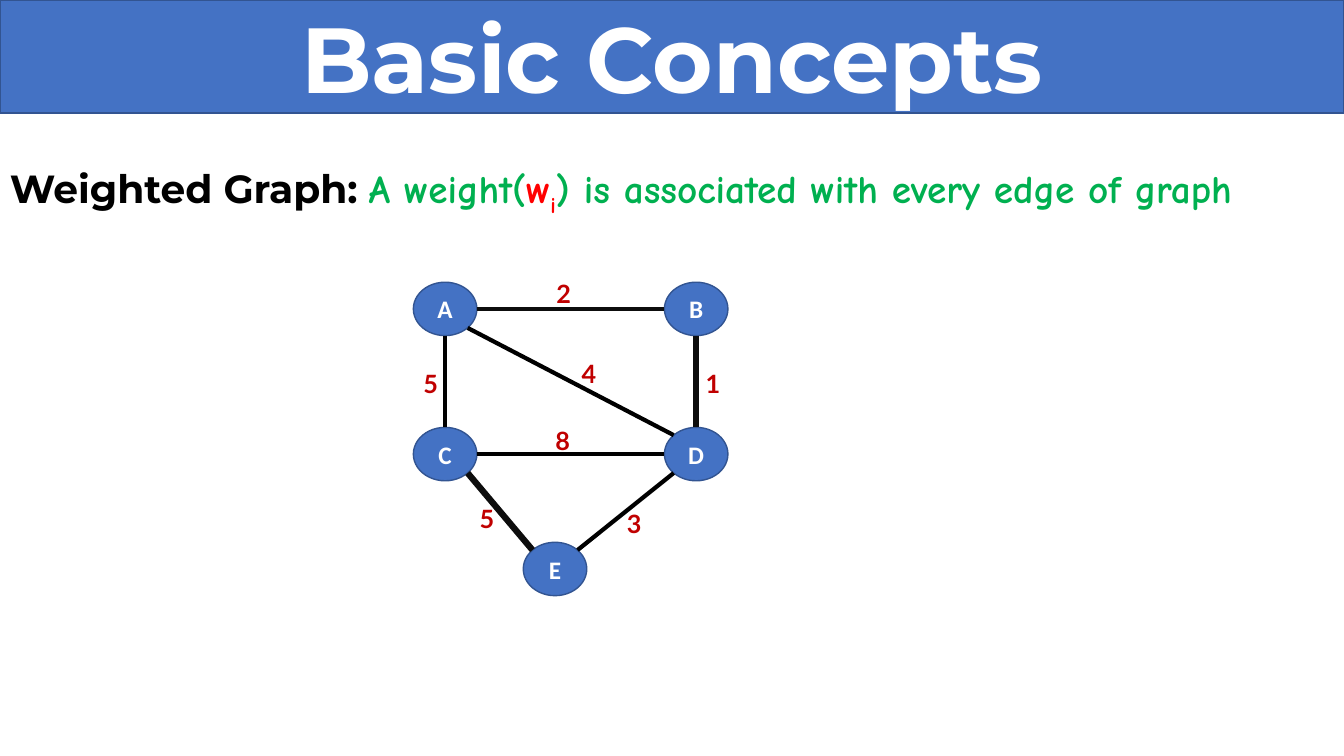
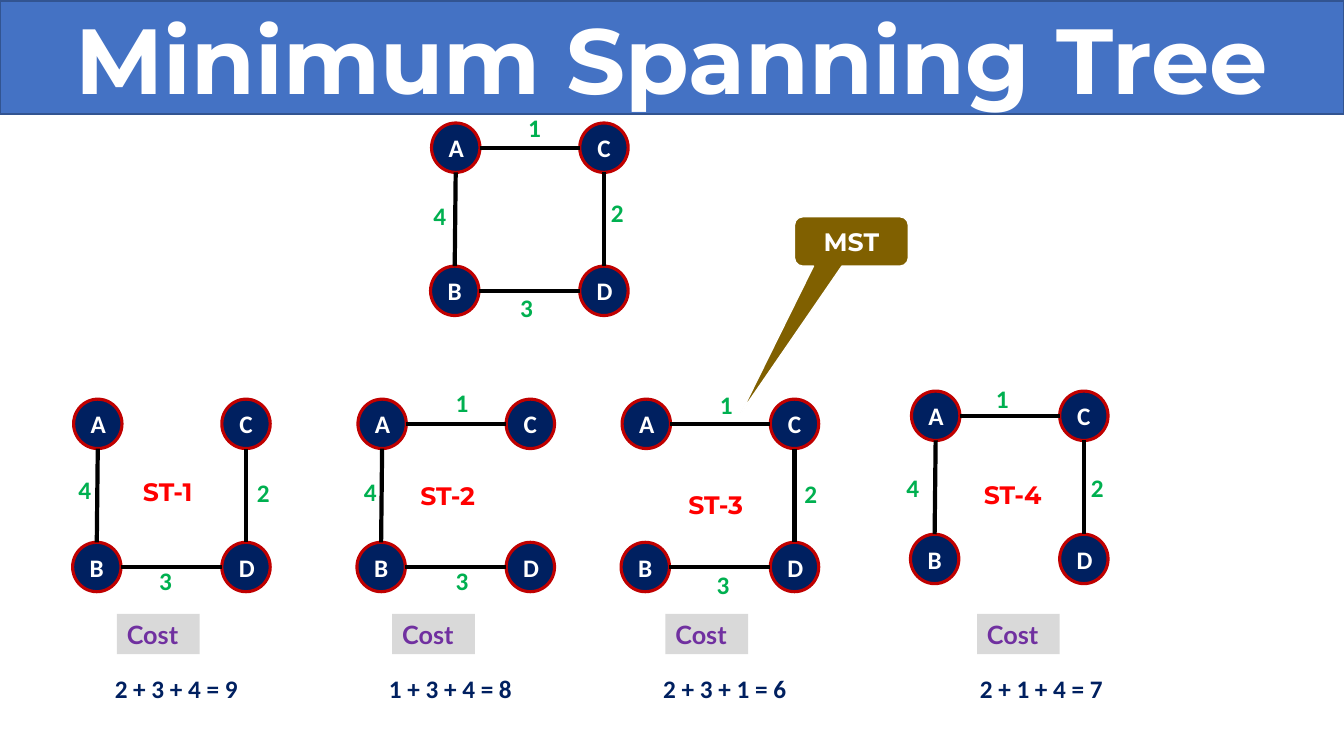
from lxml import etree
from pptx import Presentation
from pptx.dml.color import RGBColor
from pptx.enum.shapes import MSO_CONNECTOR, MSO_SHAPE
from pptx.enum.text import MSO_ANCHOR, MSO_AUTO_SIZE, PP_ALIGN
from pptx.oxml.ns import qn
from pptx.util import Inches, Pt

LINE = MSO_CONNECTOR.STRAIGHT
OVAL = MSO_SHAPE.OVAL
BUBBLE = MSO_SHAPE.ROUNDED_RECTANGULAR_CALLOUT
MIDDLE = MSO_ANCHOR.MIDDLE
CENTER = PP_ALIGN.CENTER
GROW = MSO_AUTO_SIZE.SHAPE_TO_FIT_TEXT
FIXED = MSO_AUTO_SIZE.NONE

HEX = {
    "blue": "4472C4", "rim": "325491", "navy": "002060", "crimson": "C00000",
    "red": "FF0000", "green": "00B050", "purple": "7030A0", "gray": "D9D9D9",
    "gold": "806000", "white": "FFFFFF", "black": "000000", "coal": "0D0D0D",
}
INK = {name: RGBColor.from_string(code) for name, code in HEX.items()}


def draw(slide, box, runs, size=18, kind=None, fill=None, edge=None, wide=1):
    area = [Inches(n) for n in box]
    if kind == "title":
        shape = slide.shapes.title
        shape.left, shape.top, shape.width, shape.height = area
    elif kind:
        shape = slide.shapes.add_shape(kind, *area)
        shape.shadow.inherit = False
    else:
        shape = slide.shapes.add_textbox(*area)
    if fill:
        shape.fill.solid()
        shape.fill.fore_color.rgb = INK[fill]
    if edge:
        shape.line.color.rgb = INK[edge]
        shape.line.width = Pt(wide)
    frame = shape.text_frame
    frame.word_wrap = True
    frame.auto_size = FIXED if kind else GROW
    para = frame.paragraphs[0]
    para.line_spacing = 1.0
    if kind:
        frame.vertical_anchor = MIDDLE
        para.alignment = CENTER
    for text, face, color in runs:
        run = para.add_run()
        run.text = text
        run.font.name = face
        run.font.size = Pt(size)
        run.font.bold = True
        run.font.color.rgb = INK[color]
    return shape


def link(slide, start, end, color="black", wide=3):
    line = slide.shapes.add_connector(LINE, *[Inches(n) for n in (*start, *end)])
    line.line.color.rgb = INK[color]
    line.line.width = Pt(wide)
    etree.SubElement(line._element.spPr, qn("a:effectLst"))


deck = Presentation()
deck.slide_width = Inches(13.33)
deck.slide_height = Inches(7.5)

pages = []
for title, top in (("Basic Concepts", 0), ("Minimum Spanning Tree", 0.01)):
    page = deck.slides.add_slide(deck.slide_layouts[5])
    draw(page, (0, top, 13.33, 1.12), [(title, "Montserrat", "white")],
         66, "title", "blue", "rim")
    pages.append(page)
basic, tree = pages

wide, high = 0.63, 0.53
nodes = {"A": (4.1, 2.8), "B": (6.59, 2.8), "C": (4.1, 4.24),
         "D": (6.59, 4.24), "E": (5.19, 5.38)}
for name, (x, y) in nodes.items():
    draw(basic, (x, y, wide, high), [(name, "Calibri", "white")],
         kind=OVAL, fill="blue", edge="rim")

diag = 0.71
sides = {"N": (0, -1), "S": (0, 1), "W": (-1, 0), "E": (1, 0),
         "NW": (-diag, -diag), "NE": (diag, -diag),
         "SW": (-diag, diag), "SE": (diag, diag)}
edges = [
    ("A", "E", "B", "W", "coal", 3, "2", 5.42, 2.71),
    ("A", "SE", "D", "NW", "black", 3, "4", 5.67, 3.51),
    ("C", "E", "D", "W", "black", 3, "8", 5.41, 4.17),
    ("B", "S", "D", "N", "coal", 4.5, "1", 6.9, 3.61),
    ("E", "NE", "D", "SW", "black", 3, "3", 6.12, 4.99),
    ("C", "SE", "E", "NW", "coal", 4.5, "5", 4.66, 4.94),
    ("A", "S", "C", "N", "black", 3, "5", 4.1, 3.6),
]
for head, out, tail, into, color, thick, cost, left, top in edges:
    ends = []
    for name, side in ((head, out), (tail, into)):
        x, y = nodes[name]
        dx, dy = sides[side]
        ends.append((x + wide / 2 * (1 + dx), y + high / 2 * (1 + dy)))
    link(basic, *ends, color, thick)
    draw(basic, (left, top, 0.63, 0.4), [(cost, "Lato", "crimson")])

note = draw(basic, (0, 1.58, 13.49, 1.04), [
    ("Weighted Graph: ", "Montserrat", "black"),
    ("A weight(", "Comic Neue", "green"),
    ("w", "Comic Neue", "red"),
    ("i", "Comic Neue", "red"),
    (") is associated with every edge of graph", "Comic Neue", "green"),
], 28)
note.text_frame.paragraphs[0].runs[3]._r.get_or_add_rPr().set("baseline", "-25000")

wide, high = 0.48, 0.49
spots = {"A": (0, 0), "B": (-0.01, 1.42), "C": (1.47, 0), "D": (1.47, 1.42)}
joins = {1: ("A", "C"), 2: ("C", "D"), 3: ("B", "D"), 4: ("A", "B")}
graphs = [
    (4.28, 1.22, {1: (5.14, 1.07), 2: (5.96, 1.91), 3: (5.06, 2.85), 4: (4.2, 1.94)}),
    (0.73, 3.96, {2: (2.45, 4.69), 3: (1.48, 5.56), 4: (0.68, 4.66)}),
    (3.55, 3.96, {1: (4.42, 3.79), 3: (4.42, 5.56), 4: (3.51, 4.68)}),
    (6.17, 3.96, {1: (7.04, 3.81), 2: (7.88, 4.7), 3: (7.01, 5.6)}),
    (9.04, 3.88, {1: (9.78, 3.75), 2: (10.72, 4.64), 4: (8.89, 4.64)}),
]
for left, top, costs in graphs:
    for name, (dx, dy) in spots.items():
        draw(tree, (left + dx, top + dy, wide, high), [(name, "Calibri", "white")],
             kind=OVAL, fill="navy", edge="crimson", wide=2.25)
    for cost, place in costs.items():
        (ax, ay), (bx, by) = [spots[name] for name in joins[cost]]
        dx, dy = (wide, high / 2) if ay == by else (wide / 2, high)
        start = (left + ax + dx, top + ay + dy)
        end = (left + bx + wide - dx, top + by + high - dy)
        link(tree, start, end)
        draw(tree, (*place, 0.48, 0.4), [(str(cost), "Calibri", "green")])

sums = [
    ("ST-1", 1.32, 4.68, 1.16, "2 + 3 + 4 = 9", 1.04),
    ("ST-2", 4.07, 4.72, 3.89, "1 + 3 + 4 = 8", 3.76),
    ("ST-3", 6.73, 4.81, 6.6, "2 + 3 + 1 = 6", 6.48),
    ("ST-4", 9.66, 4.71, 9.69, "2 + 1 + 4 = 7", 9.62),
]
for name, x, y, tag, total, left in sums:
    draw(tree, (x, y, 1, 0.4), [(name, "Montserrat", "red")])
    draw(tree, (tag, 6.09, 0.82, 0.4), [("Cost", "Lato", "purple")], fill="gray")
    draw(tree, (left, 6.63, 1.77, 0.4), [(total, "Calibri", "navy")])

bubble = draw(tree, (7.88, 2.15, 1.13, 0.49), [("MST", "Montserrat", "white")],
              kind=BUBBLE, fill="gold", edge="white")
for i, value in enumerate((-0.97, 3.47, 0.17)):
    bubble.adjustments[i] = value

deck.save("out.pptx")
